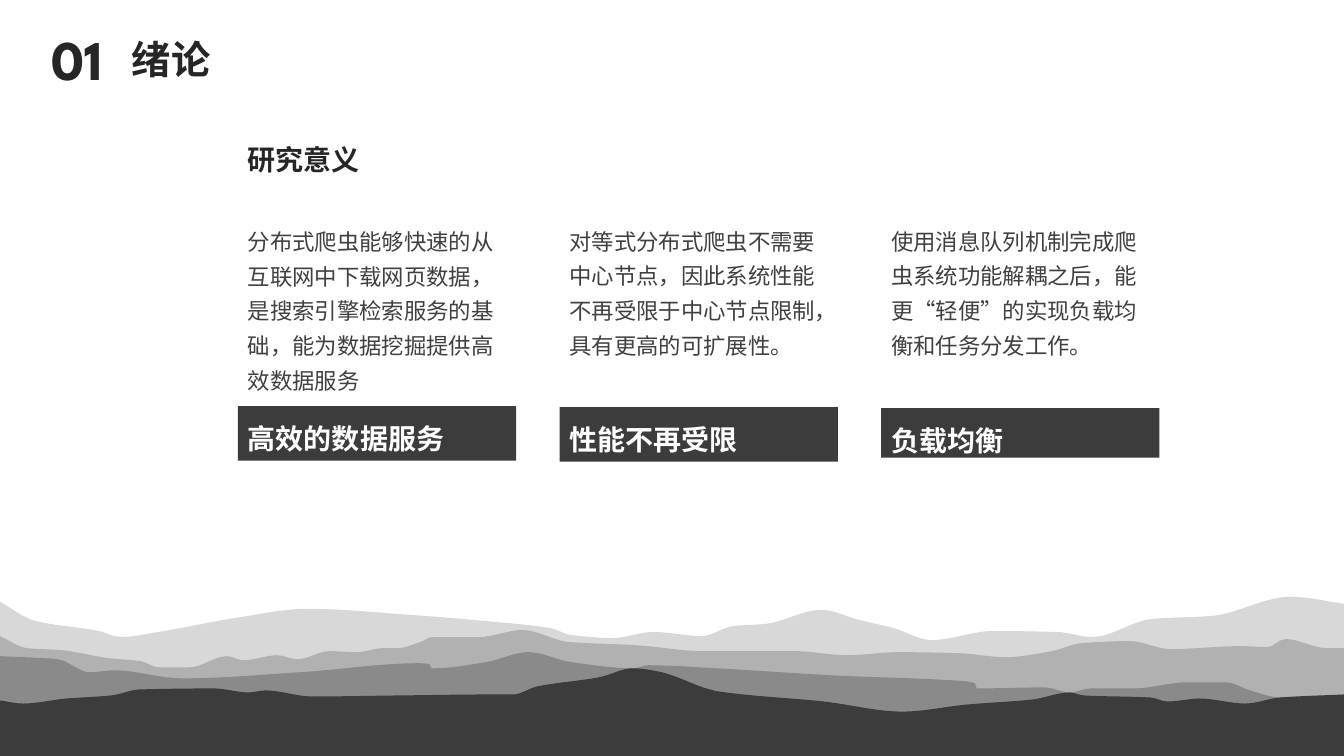
from dataclasses import dataclass

from lxml import etree
from pptx import Presentation
from pptx.dml.color import RGBColor
from pptx.enum.shapes import MSO_SHAPE
from pptx.enum.text import MSO_ANCHOR, PP_ALIGN
from pptx.oxml.ns import qn
from pptx.util import Inches, Pt

RECT = MSO_SHAPE.RECTANGLE
TOP, MIDDLE = MSO_ANCHOR.TOP, MSO_ANCHOR.MIDDLE
LEFT = PP_ALIGN.LEFT

# The slide is a grid of 1333 columns by 750 rows.
COLS, ROWS = 1333, 750
CELL = Inches(0.01)


@dataclass(frozen=True)
class Theme:
    dark: str = "3C3C3C"
    grey: str = "8A8A8A"
    silver: str = "B1B1B1"
    mist: str = "D8D8D8"
    title: str = "262626"
    body: str = "404040"
    white: str = "FFFFFF"
    title_font: str = "League Spartan"
    body_font: str = "Noto Sans CJK SC"
    number_size: int = 40
    title_size: int = 28
    heading_size: int = 20
    body_size: int = 16


THEME = Theme()


@dataclass(frozen=True)
class Box:
    col: int
    row: int
    cols: int
    rows: int

    def emu(self) -> tuple[int, int, int, int]:
        return self.col * CELL, self.row * CELL, self.cols * CELL, self.rows * CELL


@dataclass(frozen=True)
class Style:
    size: int
    color: str
    font: str = THEME.title_font
    bold: bool = True
    spacing: float = 0.9
    anchor: MSO_ANCHOR = MIDDLE


@dataclass(frozen=True)
class Benefit:
    body: str
    body_rows: int
    label: str
    label_row: int
    label_rows: int


@dataclass(frozen=True)
class Hills:
    """A ridge from left to right, filled down to the bottom of the slide."""
    color: str
    ridge: list[tuple[int, int]]


NUMBER = Style(THEME.number_size, THEME.title, anchor=TOP)
TITLE = Style(THEME.title_size, THEME.title)
HEADING = Style(THEME.heading_size, THEME.title)
BODY = Style(THEME.body_size, THEME.body, THEME.body_font, False, 1.3, TOP)
LABEL = Style(THEME.heading_size, THEME.white, spacing=1.3, anchor=TOP)

FIRST_COL, COL_STEP, COL_WIDTH, BODY_ROW = 236, 319, 276, 213
BENEFITS = [
    Benefit("分布式爬虫能够快速的从互联网中下载网页数据，是搜索引擎检索服务的基础，能为数据挖掘提供高效数据服务",
            182, "高效的数据服务", 403, 54),
    Benefit("对等式分布式爬虫不需要中心节点，因此系统性能不再受限于中心节点限制，具有更高的可扩展性。",
            147, "性能不再受限", 404, 54),
    Benefit("使用消息队列机制完成爬虫系统功能解耦之后，能更“轻便”的实现负载均衡和任务分发工作。",
            147, "负载均衡", 405, 49),
]

# Ordered from the farthest to the nearest.
LANDSCAPE = [
    Hills(THEME.mist, [
        (0, 597), (35, 616), (98, 626), (120, 632), (157, 627), (234, 613), (305, 604),
        (407, 610), (480, 616), (545, 623), (567, 630), (608, 633), (648, 627),
        (696, 631), (728, 621), (759, 619), (815, 605), (852, 615), (886, 623),
        (924, 635), (985, 626), (1049, 627), (1083, 632), (1143, 614), (1202, 611),
        (1280, 592), (COLS, 599)]),
    Hills(THEME.silver, [
        (0, 631), (27, 643), (61, 645), (108, 653), (140, 656), (157, 662), (188, 662),
        (225, 651), (242, 655), (275, 650), (295, 654), (327, 646), (354, 647),
        (380, 643), (394, 643), (417, 637), (429, 632), (475, 632), (518, 625),
        (565, 637), (630, 640), (698, 646), (789, 646), (840, 650), (891, 647),
        (951, 648), (997, 652), (1043, 646), (1073, 638), (1121, 636), (1161, 644),
        (1231, 641), (1257, 642), (1275, 634), (1316, 643), (COLS, 643)]),
    Hills(THEME.grey, [
        (0, 651), (57, 654), (89, 667), (113, 665), (181, 673), (297, 667), (416, 658),
        (426, 659), (428, 663), (431, 663), (482, 657), (524, 647), (567, 657),
        (628, 663), (643, 660), (710, 663), (825, 670), (959, 676), (967, 678),
        (969, 683), (1036, 682), (1061, 687), (1082, 683), (1124, 683), (1178, 677),
        (1216, 677), (1240, 685), (1270, 692), (COLS, 692)]),
    Hills(THEME.dark, [
        (0, 695), (23, 698), (66, 693), (110, 690), (139, 684), (212, 683), (247, 687),
        (263, 685), (310, 691), (395, 690), (487, 689), (509, 689), (533, 681),
        (594, 672), (628, 663), (652, 666), (713, 686), (817, 696), (895, 706),
        (959, 699), (1024, 694), (1061, 687), (1075, 690), (1141, 692), (1158, 696),
        (1190, 693), (1235, 698), (1270, 692), (COLS, 689)]),
]


def fill_plain(sp, color: str) -> None:
    sp.shadow.inherit = False
    sp.fill.solid()
    sp.fill.fore_color.rgb = RGBColor.from_string(color)
    sp.line.fill.background()


def bend(sp, ridge: list[tuple[int, int]]) -> None:
    """Turn the straight segments of the ridge into smooth curves."""
    pairs = list(zip(ridge, ridge[1:]))
    slopes = [(y1 - y0) / (x1 - x0) for (x0, y0), (x1, y1) in pairs]
    inner = [2 * a * b / (a + b) if a * b > 0 else 0 for a, b in zip(slopes, slopes[1:])]
    tangents = [slopes[0], *inner, slopes[-1]]
    lines = list(sp._element.iter(qn("a:lnTo")))
    for line, ((x0, y0), (x1, y1)), m0, m1 in zip(lines, pairs, tangents, tangents[1:]):
        third = (x1 - x0) / 3
        line.tag = qn("a:cubicBezTo")
        controls = (x0 + third, y0 + third * m0), (x1 - third, y1 - third * m1)
        for i, (x, y) in enumerate(controls):
            pt = etree.Element(qn("a:pt"))
            pt.set("x", str(round(x * CELL - sp.left)))
            pt.set("y", str(round(y * CELL - sp.top)))
            line.insert(i, pt)


def draw_hills(s, hills: Hills) -> None:
    outline = [(x * CELL, y * CELL) for x, y in [*hills.ridge, (COLS, ROWS), (0, ROWS)]]
    builder = s.shapes.build_freeform(*outline[0])
    builder.add_line_segments(outline[1:], close=True)
    sp = builder.convert_to_shape()
    bend(sp, hills.ridge)
    fill_plain(sp, hills.color)


def write(sp, text: str, style: Style) -> None:
    tf = sp.text_frame
    tf.word_wrap = True
    tf.vertical_anchor = style.anchor
    p = tf.paragraphs[0]
    p.text = text
    p.alignment = LEFT
    p.line_spacing = style.spacing
    p.font.size = Pt(style.size)
    p.font.bold = style.bold
    p.font.color.rgb = RGBColor.from_string(style.color)
    p.font.name = style.font
    east_asian = etree.SubElement(p._p.pPr.find(qn("a:defRPr")), qn("a:ea"))
    east_asian.set("typeface", THEME.body_font)


def add_text(s, box: Box, text: str, style: Style) -> None:
    write(s.shapes.add_textbox(*box.emu()), text, style)


def add_benefit(s, col: int, benefit: Benefit) -> None:
    add_text(s, Box(col, BODY_ROW, COL_WIDTH, benefit.body_rows), benefit.body, BODY)
    bar = Box(col, benefit.label_row, COL_WIDTH, benefit.label_rows)
    sp = s.shapes.add_shape(RECT, *bar.emu())
    fill_plain(sp, THEME.dark)
    write(sp, benefit.label, LABEL)


def main() -> None:
    prs = Presentation()
    prs.slide_width, prs.slide_height = COLS * CELL, ROWS * CELL
    s = prs.slides.add_slide(prs.slide_layouts[6])
    for hills in LANDSCAPE:
        draw_hills(s, hills)
    add_text(s, Box(FIRST_COL, 142, 204, 37), "研究意义", HEADING)
    for i, benefit in enumerate(BENEFITS):
        add_benefit(s, FIRST_COL + i * COL_STEP, benefit)
    add_text(s, Box(41, 27, 88, 64), "01", NUMBER)
    add_text(s, Box(121, 43, 204, 37), "绪论", TITLE)
    prs.save("out.pptx")


if __name__ == "__main__":
    main()
